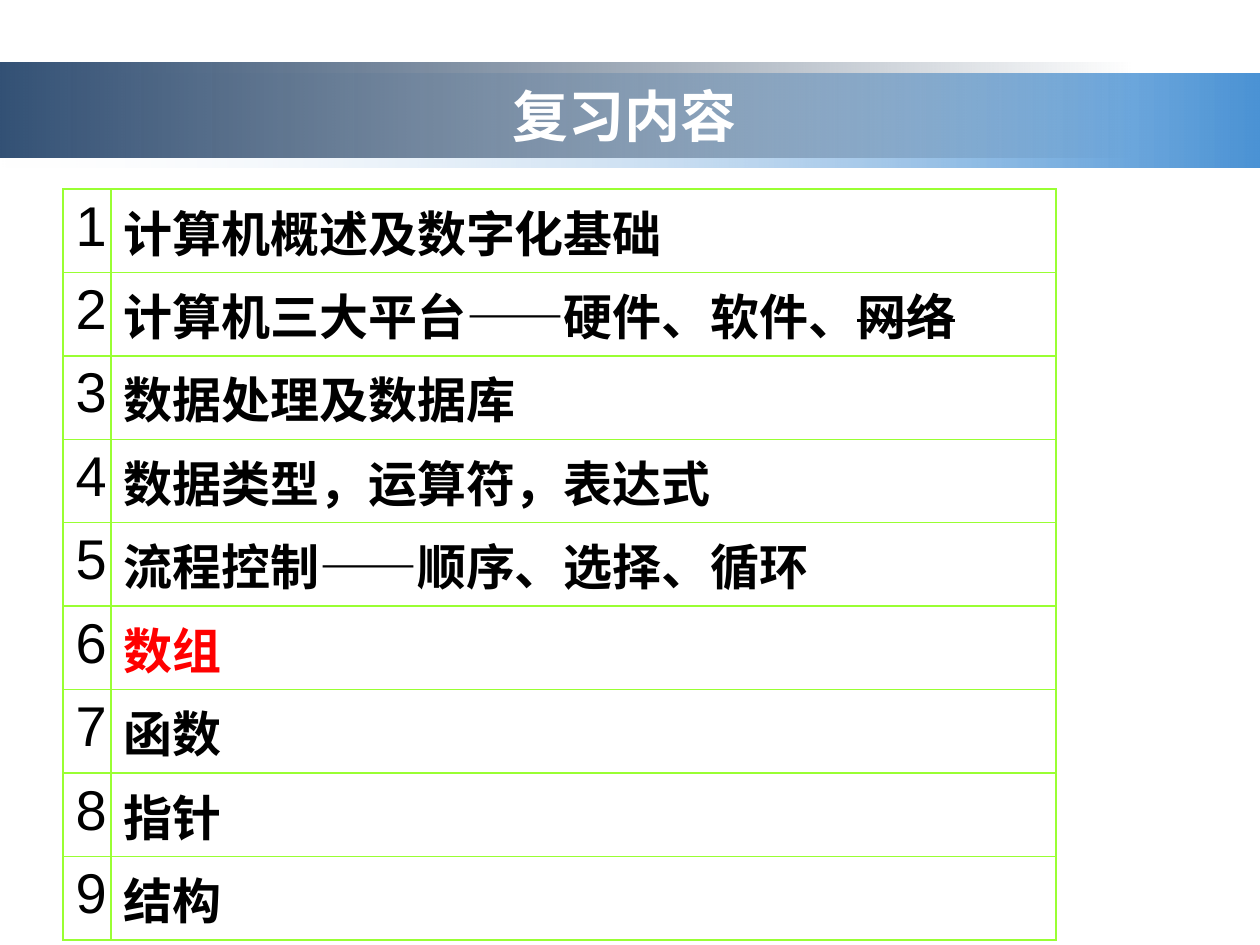
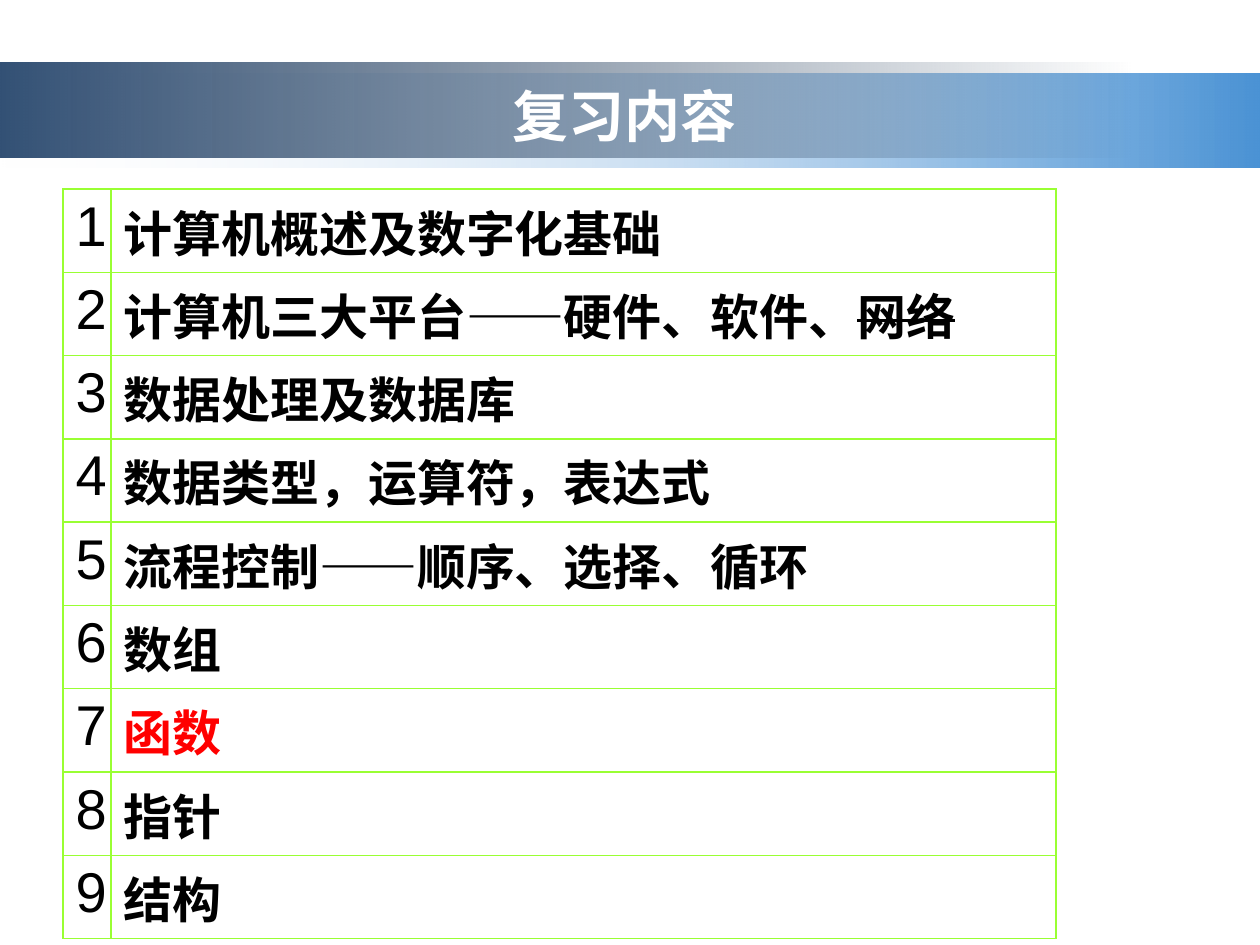
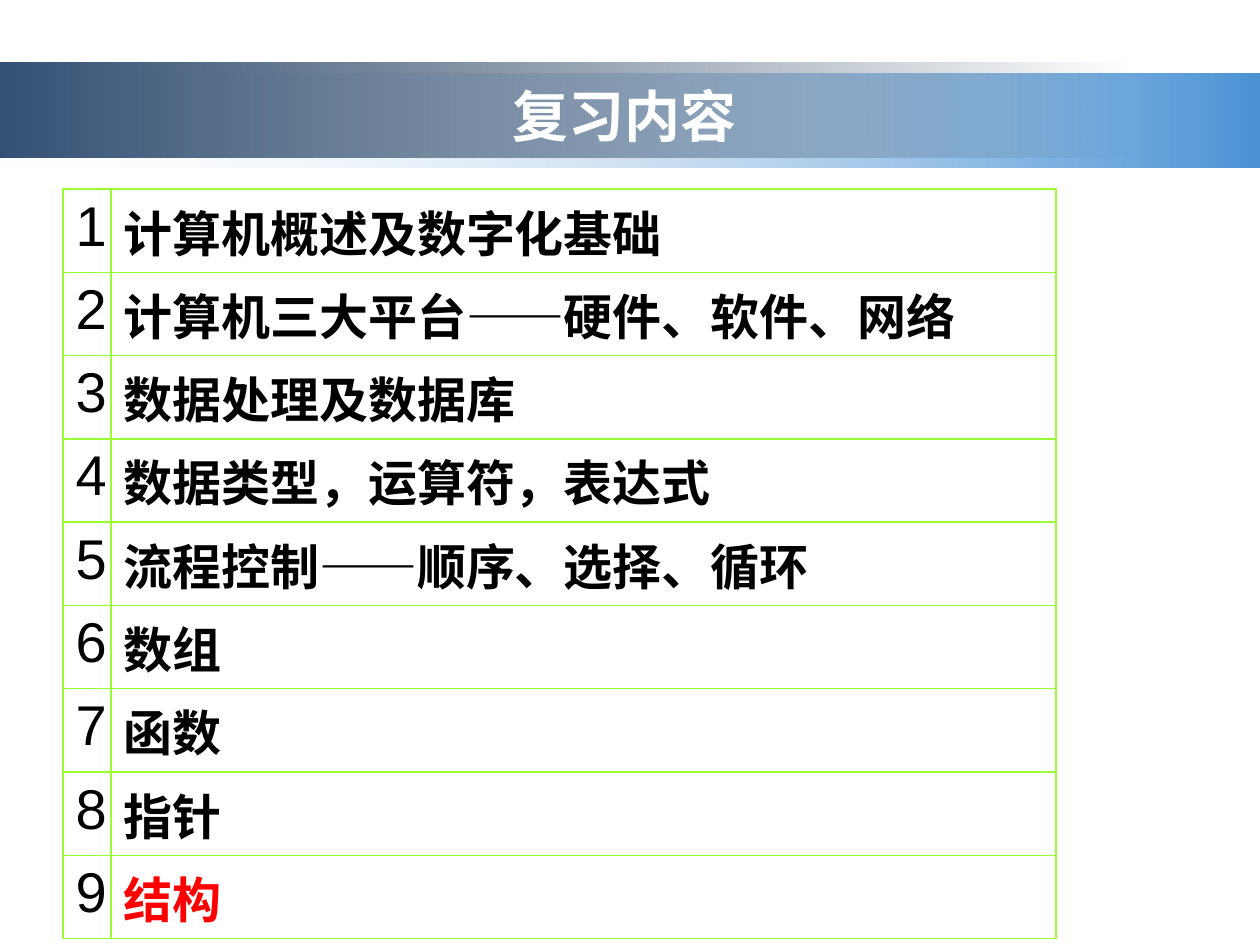
"""Builds three review outline pages, each highlighting one topic."""
from typing import NamedTuple

import lxml.etree
import pptx
import pptx.dml.color
import pptx.enum.shapes
import pptx.enum.text
import pptx.oxml.ns
import pptx.util

Pt = pptx.util.Pt
RGBColor = pptx.dml.color.RGBColor
qn = pptx.oxml.ns.qn

WHITE = RGBColor(0xFF, 0xFF, 0xFF)
BLACK = RGBColor(0x00, 0x00, 0x00)
RED = RGBColor(0xFF, 0x00, 0x00)
GRID_GREEN = RGBColor(0x99, 0xFF, 0x33)
PALE_BLUE = RGBColor(0xF1, 0xF5, 0xFA)
SKY_BLUE = RGBColor(0x4B, 0x93, 0xD5)
STEEL_BLUE = RGBColor(0x33, 0x51, 0x75)
NAVY = RGBColor(0x24, 0x3A, 0x54)

LATIN_FONT = "Arial"
CHINESE_FONT = "Noto Sans CJK SC"
PAGE_WIDTH, PAGE_HEIGHT = 720, 540
COLUMN_WIDTHS = (27.4, 540)
ROW_HEIGHT = 47.6
TITLE = "复习内容"
TOPICS = (
    "计算机概述及数字化基础",
    "计算机三大平台——硬件、软件、网络",
    "数据处理及数据库",
    "数据类型，运算符，表达式",
    "流程控制——顺序、选择、循环",
    "数组",
    "函数",
    "指针",
    "结构",
)


class Stop(NamedTuple):
    """One end of a band's gradient."""

    color: RGBColor
    opaque: bool = True


class Band(NamedTuple):
    """A horizontal gradient band behind the title."""

    top: float
    width: float
    stops: tuple[Stop, Stop]


class Review(NamedTuple):
    """The state of the topic list on one page."""

    current: int
    dropped: str = ""


BANDS = (
    Band(41.76, PAGE_WIDTH, (Stop(PALE_BLUE, False), Stop(SKY_BLUE))),
    Band(36, 648, (Stop(STEEL_BLUE), Stop(NAVY, False))),
)
REVIEWS = (Review(6, "网络"), Review(7, "网络"), Review(9))


def style_span(span, size: float, color: RGBColor, bold: bool, latin: str = LATIN_FONT) -> None:
    """Format one run for both Latin and Chinese text."""
    span.font.name = latin
    span.font.size = Pt(size)
    span.font.bold = bold
    span.font.color.rgb = color
    properties = span.font._element
    lxml.etree.SubElement(properties, qn("a:ea")).set("typeface", CHINESE_FONT)


def draw_band(page, band: Band) -> None:
    """Draw a left-to-right gradient band."""
    shape = page.shapes.add_shape(
        pptx.enum.shapes.MSO_SHAPE.RECTANGLE, 0, Pt(band.top), Pt(band.width), Pt(54)
    )
    shape.shadow.inherit = False
    shape.line.fill.background()
    shape.fill.gradient()
    shape.fill.gradient_angle = 0
    for position, (target, stop) in enumerate(zip(shape.fill.gradient_stops, band.stops)):
        target.position = position
        target.color.rgb = stop.color
    for color, stop in zip(shape._element.spPr.iter(qn("a:srgbClr")), band.stops):
        if not stop.opaque:
            lxml.etree.SubElement(color, qn("a:alpha")).set("val", "0")


def draw_title(page) -> None:
    """Write the centred page title over the bands."""
    box = page.shapes.add_textbox(Pt(66.24), Pt(43.2), Pt(581.76), Pt(44.64))
    frame = box.text_frame
    frame.word_wrap = True
    frame.vertical_anchor = pptx.enum.text.MSO_ANCHOR.MIDDLE
    frame.text = TITLE
    para = frame.paragraphs[0]
    para.alignment = pptx.enum.text.PP_ALIGN.CENTER
    style_span(para.runs[0], 32, WHITE, True, CHINESE_FONT)


def style_cell(cell) -> None:
    """Give a cell its green borders and white fill."""
    properties = cell._tc.get_or_add_tcPr()
    for side in ("a:lnL", "a:lnR", "a:lnT", "a:lnB"):
        line = lxml.etree.SubElement(properties, qn(side), w=str(Pt(1)))
        fill = lxml.etree.SubElement(line, qn("a:solidFill"))
        lxml.etree.SubElement(fill, qn("a:srgbClr"), val=str(GRID_GREEN))
    cell.fill.solid()
    cell.fill.fore_color.rgb = WHITE


def write_topic(para, topic: str, color: RGBColor, dropped: str) -> None:
    """Write a topic, striking through its dropped ending."""
    struck = bool(dropped) and topic.endswith(dropped)
    para.text = topic.removesuffix(dropped)
    if struck:
        para.add_run().text = dropped
    for span in para.runs:
        style_span(span, 28, color, True)
    if struck:
        para.runs[-1].font._element.set("strike", "sngStrike")


def draw_topics(page, review: Review) -> None:
    """Draw the numbered topic table with the current topic in red."""
    table = page.shapes.add_table(
        len(TOPICS), len(COLUMN_WIDTHS), Pt(36), Pt(108),
        Pt(sum(COLUMN_WIDTHS)), Pt(ROW_HEIGHT * len(TOPICS)),
    ).table
    table.first_row = False
    table.horz_banding = False
    for column, width in zip(table.columns, COLUMN_WIDTHS):
        column.width = Pt(width)
    for number, (row, topic) in enumerate(zip(table.rows, TOPICS), start=1):
        row.height = Pt(ROW_HEIGHT)
        for cell in row.cells:
            style_cell(cell)
        number_para, topic_para = (cell.text_frame.paragraphs[0] for cell in row.cells)
        number_para.text = str(number)
        number_para.alignment = pptx.enum.text.PP_ALIGN.CENTER
        style_span(number_para.runs[0], 32, BLACK, False)
        color = RED if number == review.current else BLACK
        write_topic(topic_para, topic, color, review.dropped)


def main() -> None:
    """Build and save the deck."""
    deck = pptx.Presentation()
    deck.slide_width, deck.slide_height = Pt(PAGE_WIDTH), Pt(PAGE_HEIGHT)
    for review in REVIEWS:
        page = deck.slides.add_slide(deck.slide_layouts[6])
        for band in BANDS:
            draw_band(page, band)
        draw_topics(page, review)
        draw_title(page)
    deck.save("out.pptx")


if __name__ == "__main__":
    main()
